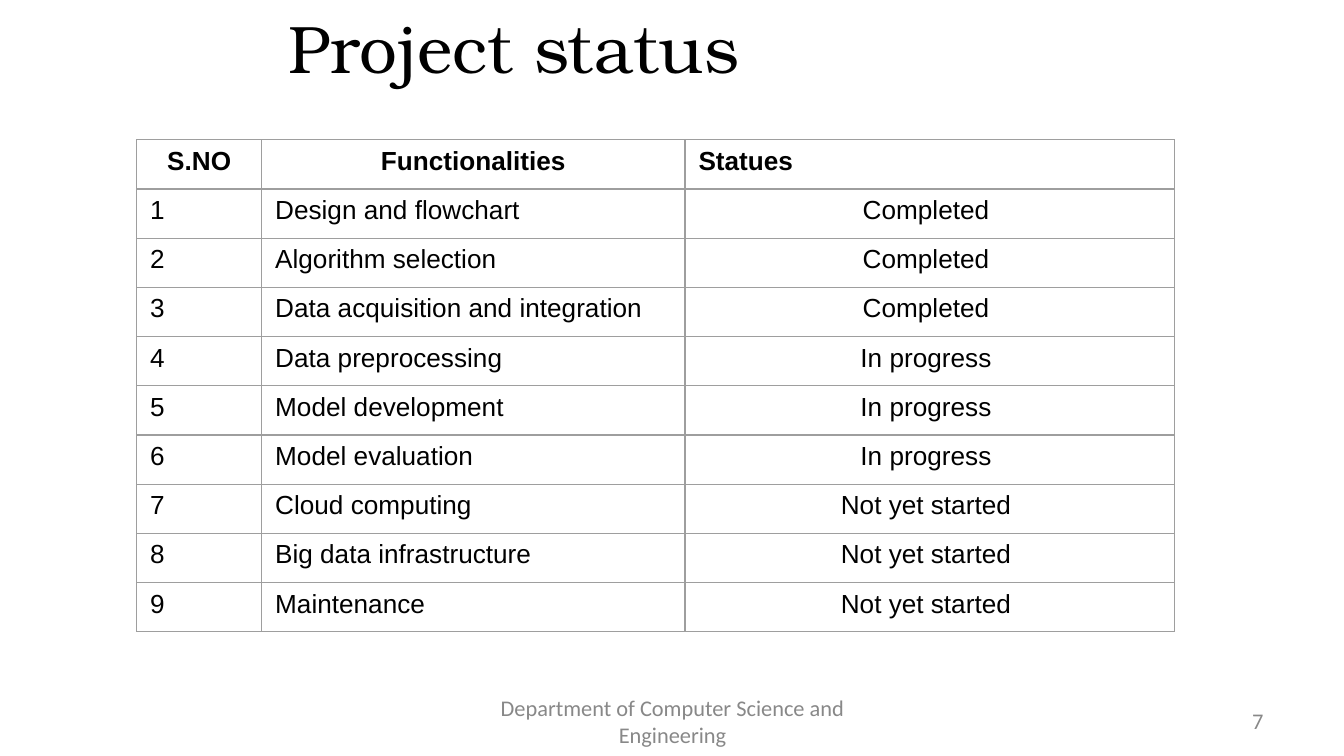
from typing import NamedTuple

from pptx import Presentation, util as u
from pptx.dml.color import RGBColor
from pptx.enum import text as t
from pptx.oxml import parse_xml
from pptx.oxml.ns import nsdecls

PX = u.Inches(1) // 800  # 800 px to the inch
WIDE, HIGH = 8000, 4500
BLACK, GREY, LINE, WHITE = "000000", "888888", "9E9E9E", "FFFFFF"
LEFT, MID, RIGHT = t.PP_ALIGN.LEFT, t.PP_ALIGN.CENTER, t.PP_ALIGN.RIGHT


class Box(NamedTuple):
    x: int
    y: int
    w: int
    h: int

    def emu(self) -> list[int]:
        return [n * PX for n in self]


class Note(NamedTuple):
    box: Box
    text: str
    align: t.PP_ALIGN


class Task(NamedTuple):
    name: str
    state: str


TITLE = Box(384, 0, 5352, 550)
GRID = Box(814, 832, 6176, 2930)
COLS = (744, 2520, 2912)
HEADS = ("S.NO", "Functionalities", "Statues")
NOTES = (
    Note(Box(5736, 4171, 1864, 240), "7", RIGHT),
    Note(Box(2736, 4171, 2536, 240),
         "Department of Computer Science and Engineering", MID),
)
TASKS = (
    Task("Design and flowchart", "Completed "),
    Task("Algorithm selection", "Completed "),
    Task("Data acquisition and integration", "Completed "),
    Task("Data preprocessing", "In progress "),
    Task("Model development", "In progress "),
    Task("Model evaluation", "In progress "),
    Task("Cloud computing", "Not yet started "),
    Task("Big data infrastructure", "Not yet started "),
    Task("Maintenance", "Not yet started "),
)


def color(code: str) -> RGBColor:
    return RGBColor.from_string(code)


def write(frame, words: str, *, size: int, font: str, ink: str = BLACK,
          bold: bool = False, align=LEFT, anchor=None) -> None:
    frame.word_wrap = True
    if anchor is not None:
        frame.vertical_anchor = anchor
    par = frame.paragraphs[0]
    par.alignment = align
    run = par.add_run()
    run.text = words
    run.font.size = u.Pt(size)
    run.font.name = font
    run.font.bold = bold
    run.font.color.rgb = color(ink)


def border(cell) -> None:
    """Line all four sides; the lines must come before the fill."""
    props = cell._tc.get_or_add_tcPr()
    for spot, side in enumerate(("lnL", "lnR", "lnT", "lnB")):
        props.insert(spot, parse_xml(
            f'<a:{side} {nsdecls("a")} w="{u.Pt(0.75)}"><a:solidFill>'
            f'<a:srgbClr val="{LINE}"/></a:solidFill></a:{side}>'))


def add_title(slide) -> None:
    title = slide.shapes.title
    title.left, title.top, title.width, title.height = TITLE.emu()
    frame = title.text_frame
    frame.auto_size = t.MSO_AUTO_SIZE.NONE
    write(frame, "Project status", size=36, font="TeX Gyre Bonum",
          align=MID, anchor=t.MSO_ANCHOR.MIDDLE)


def add_note(slide, note: Note) -> None:
    frame = slide.shapes.add_textbox(*note.box.emu()).text_frame
    write(frame, note.text, size=12, font="Calibri", ink=GREY,
          align=note.align, anchor=t.MSO_ANCHOR.MIDDLE)


def add_grid(slide) -> None:
    rows = [HEADS] + [(str(n), *task) for n, task in enumerate(TASKS, 1)]
    table = slide.shapes.add_table(len(rows), len(COLS), *GRID.emu()).table
    table.horz_banding = False
    for col, wide in zip(table.columns, COLS):
        col.width = wide * PX
    for r, row in enumerate(rows):
        head = r == 0
        for c, words in enumerate(row):
            cell = table.cell(r, c)
            cell.fill.solid()
            cell.fill.fore_color.rgb = color(WHITE)
            border(cell)
            # Heads are centred but for the last column, tasks only in it.
            write(cell.text_frame, words, size=14, font="Arial", bold=head,
                  align=MID if head != (c == 2) else LEFT)


def main() -> None:
    deck = Presentation()
    deck.slide_width, deck.slide_height = WIDE * PX, HIGH * PX
    slide = deck.slides.add_slide(deck.slide_layouts[5])
    add_title(slide)
    for note in NOTES:
        add_note(slide, note)
    add_grid(slide)
    deck.save("out.pptx")


if __name__ == "__main__":
    main()
